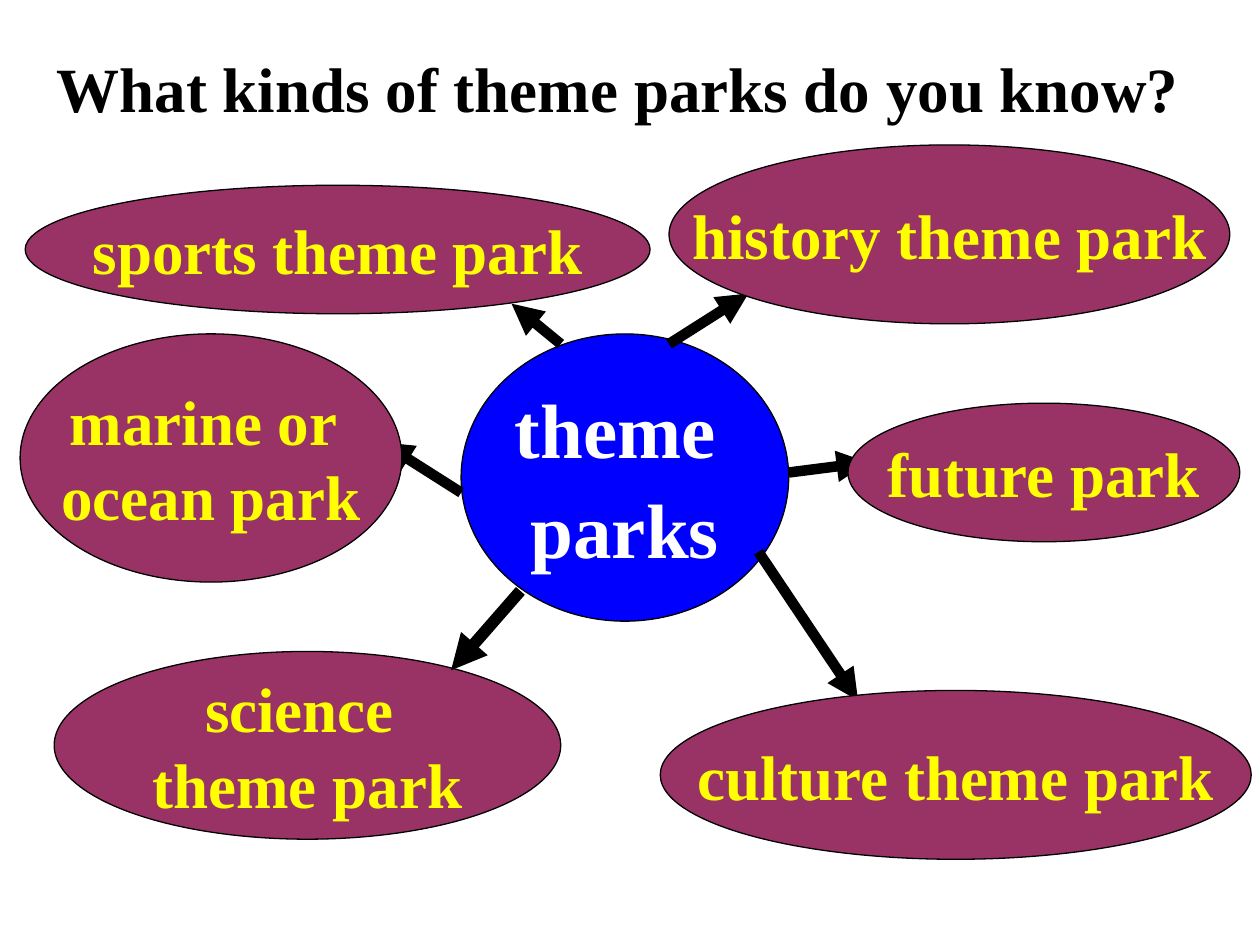
from dataclasses import dataclass

from lxml.etree import SubElement
from pptx import Presentation
from pptx.dml.color import RGBColor
from pptx.enum.shapes import MSO_CONNECTOR, MSO_SHAPE
from pptx.enum.text import MSO_ANCHOR, MSO_AUTO_SIZE, PP_ALIGN
from pptx.oxml.ns import qn
from pptx.slide import Slide
from pptx.text.text import _Paragraph
from pptx.util import Inches, Pt

COLUMNS, ROWS = 100, 75
SLIDE_WIDTH, SLIDE_HEIGHT = Inches(10), Inches(7.5)
FONT = "Times New Roman"
COLORS = {
    "hub": "0000FF",
    "hub_text": "FFFFFF",
    "park": "993366",
    "park_text": "FFFF00",
    "ink": "000000",
}


@dataclass(frozen=True)
class Box:
    column: float
    row: float
    columns: float
    rows: float

    def place(self) -> tuple[int, int, int, int]:
        """Left, top, width and height in EMU."""
        return (across(self.column), down(self.row),
                across(self.columns), down(self.rows))


@dataclass(frozen=True)
class Arrow:
    start: tuple[float, float]
    end: tuple[float, float]
    weight: float = 6
    in_front: bool = False


@dataclass(frozen=True)
class Bubble:
    lines: tuple[str, ...]
    box: Box
    fill: str = "park"
    text: str = "park_text"
    size: int = 36
    line_gap: int = 0


@dataclass(frozen=True)
class Branch:
    park: Bubble
    arrow: Arrow


HUB = Bubble(("theme ", "parks"), Box(36.6, 26.5, 26, 22.8),
             "hub", "hub_text", 44, 4)
BRANCHES = (
    Branch(Bubble(("marine or ", "ocean park"), Box(1.6, 26.5, 30.3, 19.7)),
           Arrow((36.6, 39.1), (30.3, 35.1))),
    Branch(Bubble(("sports theme park",), Box(2, 14.7, 49.6, 10.2)),
           Arrow((44.5, 27.3), (40.6, 24.1))),
    Branch(Bubble(("science ", "theme park"), Box(4.3, 51.7, 40.2, 14.9)),
           Arrow((41.3, 46.9), (35.8, 53.2), 6.75, in_front=True)),
    Branch(Bubble(("history theme park",), Box(53.1, 11.5, 44.5, 14.2)),
           Arrow((53.1, 27.3), (59.4, 23.3))),
    Branch(Bubble(("future park",), Box(67.3, 32, 31.1, 11)),
           Arrow((62.6, 37.5), (68.9, 36.7))),
    Branch(Bubble(("culture theme park",), Box(52.4, 54.8, 46.9, 13.4)),
           Arrow((60.2, 43.8), (68.1, 55.6))),
)


def across(columns: float) -> int:
    return round(SLIDE_WIDTH * columns / COLUMNS)


def down(rows: float) -> int:
    return round(SLIDE_HEIGHT * rows / ROWS)


def color(name: str) -> RGBColor:
    return RGBColor.from_string(COLORS[name])


def add_run(paragraph: _Paragraph, words: str, size: int, ink: str) -> None:
    run = paragraph.add_run()
    run.text = words
    run.font.name = FONT
    run.font.size = Pt(size)
    run.font.bold = True
    run.font.color.rgb = color(ink)


def write_title(slide: Slide, words: str, box: Box) -> None:
    title = slide.shapes.title
    title.left, title.top, title.width, title.height = box.place()
    frame = title.text_frame
    frame.auto_size = MSO_AUTO_SIZE.NONE
    frame.vertical_anchor = MSO_ANCHOR.TOP
    frame.word_wrap = True
    heading = frame.paragraphs[0]
    heading.alignment = PP_ALIGN.LEFT
    heading.line_spacing = 1.1
    add_run(heading, words, 36, "ink")


def draw_bubble(slide: Slide, bubble: Bubble) -> None:
    oval = slide.shapes.add_shape(MSO_SHAPE.OVAL, *bubble.box.place())
    oval.shadow.inherit = False
    oval.fill.solid()
    oval.fill.fore_color.rgb = color(bubble.fill)
    oval.line.color.rgb = color("ink")
    oval.line.width = Pt(0.75)
    frame = oval.text_frame
    frame.word_wrap = False
    frame.vertical_anchor = MSO_ANCHOR.MIDDLE
    for index, words in enumerate(bubble.lines):
        paragraph = frame.add_paragraph() if index else frame.paragraphs[0]
        paragraph.alignment = PP_ALIGN.CENTER
        if index:
            paragraph.space_before = Pt(bubble.line_gap)
        add_run(paragraph, words, bubble.size, bubble.text)


def draw_arrow(slide: Slide, arrow: Arrow) -> None:
    (start_column, start_row), (end_column, end_row) = arrow.start, arrow.end
    connector = slide.shapes.add_connector(
        MSO_CONNECTOR.STRAIGHT, across(start_column), down(start_row),
        across(end_column), down(end_row))
    connector.line.color.rgb = color("ink")
    connector.line.width = Pt(arrow.weight)
    SubElement(connector.line._get_or_add_ln(), qn("a:tailEnd"), type="triangle")
    SubElement(connector._element.spPr, qn("a:effectLst"))


def main() -> None:
    deck = Presentation()
    deck.slide_width, deck.slide_height = SLIDE_WIDTH, SLIDE_HEIGHT
    slide = deck.slides.add_slide(deck.slide_layouts[5])
    write_title(slide, "What kinds of theme parks do you know?",
                Box(3.5, 2.8, 92.9, 7.6))
    draw_bubble(slide, HUB)
    for branch in BRANCHES:
        if not branch.arrow.in_front:
            draw_arrow(slide, branch.arrow)
    for branch in BRANCHES:
        draw_bubble(slide, branch.park)
        if branch.arrow.in_front:
            draw_arrow(slide, branch.arrow)
    deck.save("out.pptx")


if __name__ == "__main__":
    main()
